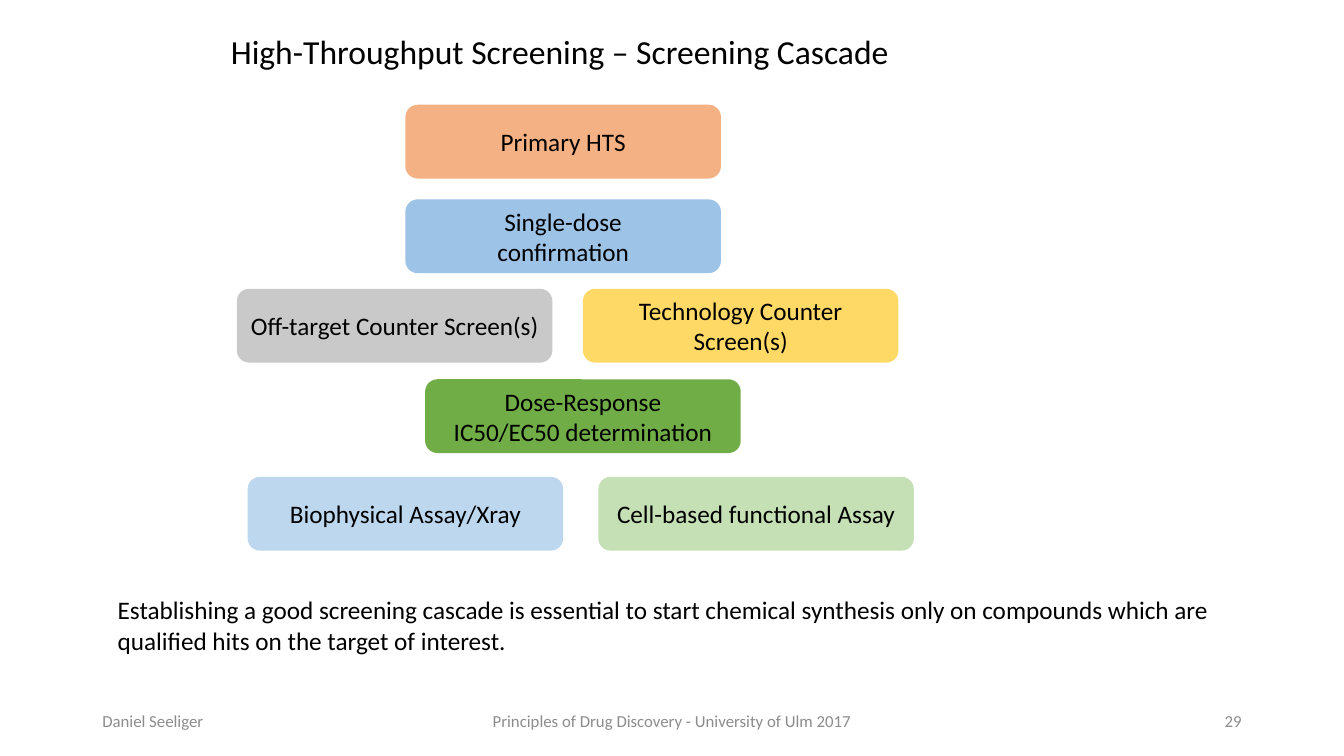
"""Build the screening cascade slide."""
from pptx import Presentation
from pptx.dml.color import RGBColor
from pptx.enum.shapes import MSO_SHAPE
from pptx.enum.text import MSO_ANCHOR as ANCHOR, MSO_AUTO_SIZE as AUTO, PP_ALIGN as ALIGN
from pptx.util import Pt

COLORS = {
    "text": "000000", "footer": "8C8C8C", "orange": "F4B183", "blue": "9DC3E6",
    "gray": "C9C9C9", "yellow": "FFD966", "green": "70AD47",
    "light_blue": "BDD7EE", "light_green": "C5E0B4",
}
BOX_W, BOX_H = 225.4, 52.7


def write(sp, text, size, color="text", align=ALIGN.LEFT, anchor=ANCHOR.MIDDLE):
    tf = sp.text_frame
    tf.text = text
    tf.word_wrap = True
    tf.vertical_anchor = anchor
    for p in tf.paragraphs:
        p.alignment = align
        for r in p.runs:
            r.font.name = "Calibri"
            r.font.size = Pt(size)
            r.font.color.rgb = RGBColor.from_string(COLORS[color])
    return tf


prs = Presentation()
prs.slide_width, prs.slide_height = Pt(960), Pt(540)
s = prs.slides.add_slide(prs.slide_layouts[6])

footers = [
    ("Daniel Seeliger", 66, 216, ALIGN.LEFT),
    ("Principles of Drug Discovery - University of Ulm 2017", 318, 324, ALIGN.CENTER),
    ("29", 678, 216, ALIGN.RIGHT),
]
for text, left, width, align in footers:
    sp = s.shapes.add_textbox(Pt(left), Pt(500.5), Pt(width), Pt(28.75))
    write(sp, text, 12, "footer", align)

title = s.shapes.add_textbox(Pt(157.8), Pt(18.7), Pt(488.9), Pt(36.3))
tf = write(title, "High-Throughput Screening – Screening Cascade", 24, anchor=ANCHOR.TOP)
tf.word_wrap = False
tf.auto_size = AUTO.SHAPE_TO_FIT_TEXT

stages = [
    ("Primary HTS", 289.6, 74.8, "orange"),
    ("Single-dose\nconfirmation", 289.6, 142.4, "blue"),
    ("Off-target Counter Screen(s)", 169.2, 206.3, "gray"),
    ("Technology Counter Screen(s)", 416.4, 206.3, "yellow"),
    ("Dose-Response\nIC50/EC50 determination", 303.7, 270.9, "green"),
    ("Biophysical Assay/Xray", 176.9, 340.6, "light_blue"),
    ("Cell-based functional Assay", 427.4, 340.6, "light_green"),
]
for text, left, top, color in stages:
    sp = s.shapes.add_shape(MSO_SHAPE.ROUNDED_RECTANGLE, Pt(left), Pt(top), Pt(BOX_W), Pt(BOX_H))
    sp.shadow.inherit = False
    sp.fill.solid()
    sp.fill.fore_color.rgb = RGBColor.from_string(COLORS[color])
    sp.line.fill.background()
    write(sp, text, 18, align=ALIGN.CENTER)

summary = s.shapes.add_textbox(Pt(77), Pt(421.2), Pt(832.3), Pt(50.9))
tf = write(summary, "Establishing a good screening cascade is essential to start chemical synthesis only on "
           "compounds which are qualified hits on the target of interest.", 18, anchor=ANCHOR.TOP)
tf.auto_size = AUTO.SHAPE_TO_FIT_TEXT

prs.save("out.pptx")
